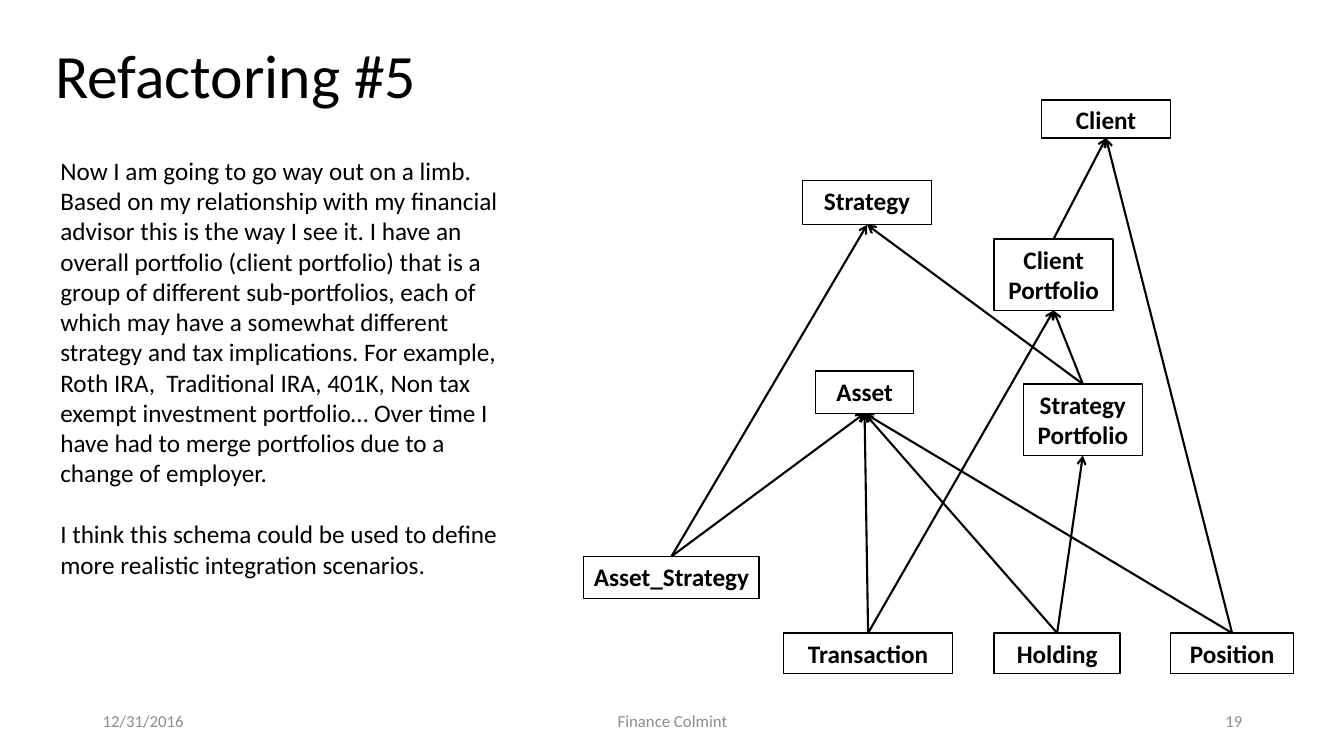
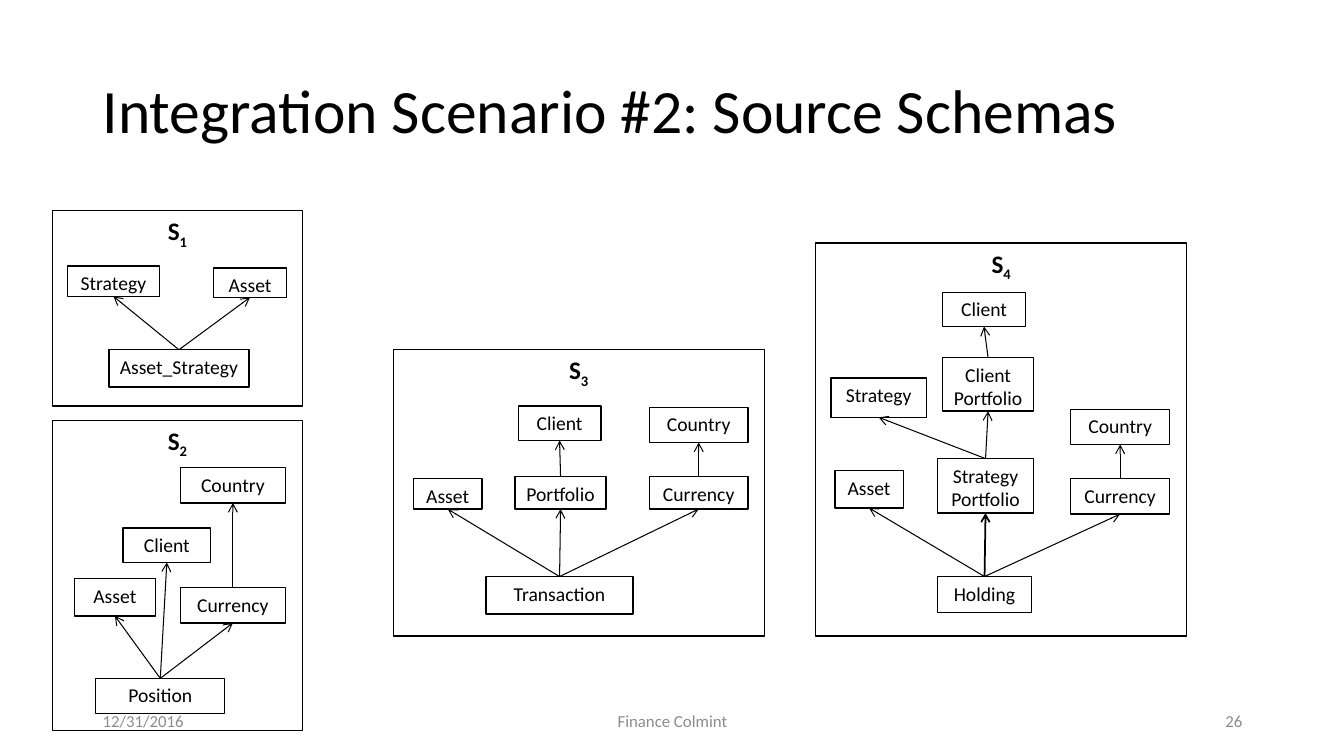
from dataclasses import dataclass
from lxml import etree
from pptx import Presentation
from pptx.dml.color import RGBColor
from pptx.enum.shapes import MSO_CONNECTOR, MSO_SHAPE
from pptx.enum.text import MSO_ANCHOR, PP_ALIGN
from pptx.oxml.ns import qn
from pptx.util import Inches, Pt


@dataclass(frozen=True)
class Theme:
    font: str = "Calibri"
    ink: RGBColor = RGBColor(0, 0, 0)
    muted: RGBColor = RGBColor(0x8C, 0x8C, 0x8C)
    title: int = 44
    body: int = 18
    small: int = 14
    footer: int = 12
    outline: float = 1
    thick: float = 1.5
    medium: float = 1.25
    thin: float = 0.75


theme = Theme()
TOP, BOTTOM = 0, 2


def add_text(page, area, text, size, color=theme.ink, align=PP_ALIGN.LEFT,
             anchor=MSO_ANCHOR.TOP, bold=False, outlined=False):
    place = [Inches(length) for length in area]
    if outlined:
        box = page.shapes.add_shape(MSO_SHAPE.RECTANGLE, *place)
        box.shadow.inherit = False
        box.fill.background()
        box.line.color.rgb = theme.ink
        box.line.width = Pt(theme.outline)
    else:
        box = page.shapes.add_textbox(*place)
    frame = box.text_frame
    frame.text = text
    frame.word_wrap = True
    frame.vertical_anchor = anchor
    for para in frame.paragraphs:
        para.alignment = align
        font = para.font
        font.name, font.size, font.bold = theme.font, Pt(size), bold
        font.color.rgb = color
        for span in para.runs:
            span.font.name, span.font.size, span.font.bold = theme.font, Pt(size), bold
            span.font.color.rgb = color
    return box


def draw_schema(page, entities, links, size, weight, bold=False):
    boxes = {name: add_text(page, area, name, size, align=PP_ALIGN.CENTER,
                            bold=bold, outlined=True)
             for name, area in entities.items()}
    arrows = {}
    for child, parents in links.items():
        for parent in parents:
            arrow = page.shapes.add_connector(MSO_CONNECTOR.STRAIGHT, 0, 0, 0, 0)
            arrow.begin_connect(boxes[child], TOP)
            arrow.end_connect(boxes[parent], BOTTOM)
            arrow.line.color.rgb = theme.ink
            arrow.line.width = Pt(weight)
            etree.SubElement(arrow.line._get_or_add_ln(), qn("a:tailEnd"), type="arrow")
            etree.SubElement(arrow._element.spPr, qn("a:effectLst"))
            arrows[child, parent] = arrow
    return arrows


deck = Presentation()
deck.slide_width, deck.slide_height = Inches(13.33), Inches(7.5)

pages = []
for title, title_area, number in [
    ("Refactoring #5", (0.45, 0.28, 4.74, 0.99), "19"),
    ("Integration Scenario #2: Source Schemas", (0.92, 0.4, 11.5, 1.45), "26"),
]:
    page = deck.slides.add_slide(deck.slide_layouts[6])
    heading = add_text(page, title_area, title, theme.title, anchor=MSO_ANCHOR.MIDDLE)
    heading.text_frame.paragraphs[0].line_spacing = 0.9
    for left, width, text, align in [
        (0.92, 3, "12/31/2016", PP_ALIGN.LEFT),
        (4.42, 4.5, "Finance Colmint", PP_ALIGN.CENTER),
        (9.42, 3, number, PP_ALIGN.RIGHT),
    ]:
        add_text(page, (left, 6.95, width, 0.4), text, theme.footer, theme.muted,
                 align, MSO_ANCHOR.MIDDLE)
    pages.append(page)
refactoring, scenario = pages

story = add_text(
    refactoring, (0.5, 1.49, 4.79, 4.34),
    "Now I am going to go way out on a limb. Based on my relationship with my "
    "financial advisor this is the way I see it. I have an overall portfolio "
    "(client portfolio) that is a group of different sub-portfolios, each of which "
    "may have a somewhat different strategy and tax implications. For example, "
    "Roth IRA,  Traditional IRA, 401K, Non tax exempt investment portfolio… Over "
    "time I have had to merge portfolios due to a change of employer.\n"
    "I think this schema could be used to define more realistic integration scenarios.",
    theme.body)
story.text_frame.paragraphs[0].space_after = Pt(22)

draw_schema(
    refactoring,
    {
        "Client": (10.33, 0.99, 1.28, 0.38),
        "Strategy": (7.96, 1.79, 1.28, 0.44),
        "Client Portfolio": (9.86, 2.37, 1.18, 0.71),
        "Asset": (8.09, 3.68, 0.97, 0.42),
        "Strategy Portfolio": (10.15, 3.81, 1.18, 0.71),
        "Asset_Strategy": (5.79, 5.52, 1.74, 0.42),
        "Transaction": (7.77, 6.28, 1.68, 0.4),
        "Holding": (9.86, 6.28, 1.25, 0.4),
        "Position": (11.61, 6.28, 1.22, 0.4),
    },
    {
        "Client Portfolio": ["Client"],
        "Strategy Portfolio": ["Strategy", "Client Portfolio"],
        "Asset_Strategy": ["Asset", "Strategy"],
        "Transaction": ["Asset", "Client Portfolio"],
        "Holding": ["Asset", "Strategy Portfolio"],
        "Position": ["Asset", "Client"],
    },
    theme.body, theme.thick, bold=True)

sources = [
    ((0.52, 2.09, 2.48, 1.94), {
        "Strategy": (0.67, 2.64, 0.91, 0.3),
        "Asset": (2.12, 2.66, 0.72, 0.29),
        "Asset_Strategy": (1.08, 3.47, 1.39, 0.37),
    }, {"Asset_Strategy": ["Strategy", "Asset"]}),
    ((0.52, 4.17, 2.48, 3.08), {
        "Country": (1.79, 4.64, 1.04, 0.35),
        "Client": (1.22, 5.24, 0.87, 0.34),
        "Asset": (0.74, 5.74, 0.8, 0.37),
        "Currency": (1.79, 5.83, 1.04, 0.35),
        "Position": (0.95, 6.73, 1.28, 0.35),
    }, {"Position": ["Asset", "Client", "Currency"], "Currency": ["Country"]}),
    ((3.9, 3.47, 3.68, 2.84), {
        "Client": (5.14, 4.03, 0.82, 0.34),
        "Country": (6.44, 4.04, 0.98, 0.35),
        "Asset": (4.1, 4.75, 0.68, 0.3),
        "Portfolio": (5.11, 4.73, 0.9, 0.32),
        "Currency": (6.44, 4.73, 0.98, 0.32),
        "Transaction": (4.82, 5.72, 1.46, 0.37),
    }, {
        "Transaction": ["Asset", "Portfolio", "Currency"],
        "Portfolio": ["Client"],
        "Currency": ["Country"],
    }),
    ((8.09, 2.41, 3.68, 3.9), {
        "Client": (9.35, 2.9, 0.82, 0.34),
        "Client Portfolio": (9.35, 3.55, 0.9, 0.53),
        "Strategy": (8.24, 3.75, 0.95, 0.39),
        "Country": (10.62, 4.06, 0.98, 0.35),
        "Strategy Portfolio": (9.3, 4.55, 0.95, 0.54),
        "Asset": (8.28, 4.67, 0.68, 0.37),
        "Currency": (10.62, 4.75, 0.98, 0.35),
        "Holding": (9.3, 5.72, 0.93, 0.36),
    }, {
        "Holding": ["Asset", "Strategy Portfolio", "Currency"],
        "Strategy Portfolio": ["Strategy", "Client Portfolio"],
        "Client Portfolio": ["Client"],
        "Currency": ["Country"],
    }),
]
for index, (area, entities, links) in enumerate(sources, start=1):
    panel = add_text(scenario, area, "S", theme.body, align=PP_ALIGN.CENTER,
                     bold=True, outlined=True)
    span = panel.text_frame.paragraphs[0].add_run()
    span.text = str(index)
    span.font.name, span.font.size, span.font.bold = theme.font, Pt(theme.body), True
    span.font.color.rgb = theme.ink
    span._r.get_or_add_rPr().set("baseline", "-25000")
    arrows = draw_schema(scenario, entities, links, theme.small, theme.thin)
arrows["Holding", "Strategy Portfolio"].line.width = Pt(theme.medium)

deck.save("out.pptx")
